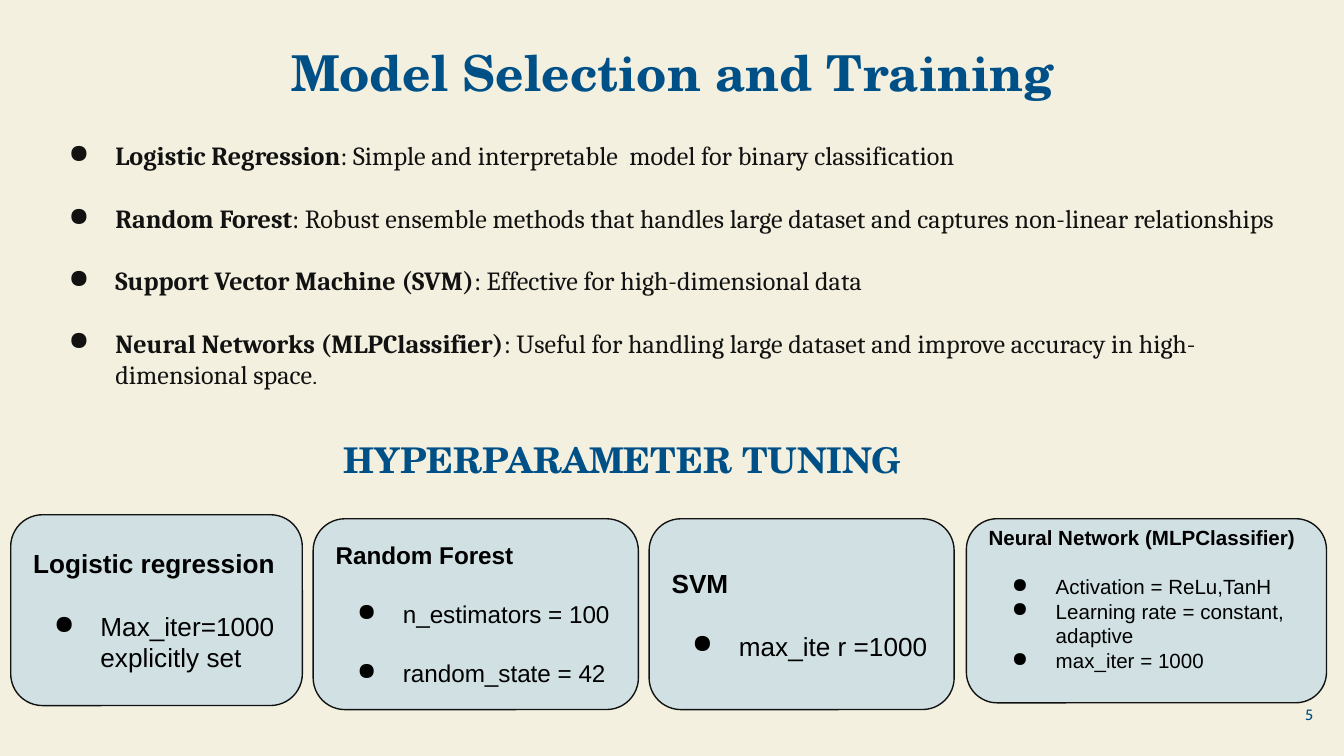
import pptx
import pptx.util
import pptx.dml.color
import pptx.enum.shapes
import pptx.enum.text
import pptx.oxml.ns
from lxml import etree

Pt = pptx.util.Pt
ALIGN = pptx.enum.text.PP_ALIGN
ANCHOR = pptx.enum.text.MSO_ANCHOR
BLUE, INK, BLACK = "005088", "121212", "000000"
CREAM, PALE_BLUE = "F3F0DF", "D0E0E3"
HEADING_FONT = "TeX Gyre Schola"

MODELS = [
    ("Logistic Regression", ": Simple and interpretable  model for binary classification"),
    ("Random Forest", ": Robust ensemble methods that handles large dataset and "
                      "captures non-linear relationships"),
    ("Support Vector Machine (SVM)", ": Effective for high-dimensional data"),
    ("Neural Networks (MLPClassifier)", ": Useful for handling large dataset and improve "
                                        "accuracy in high-dimensional space"),
]

# Box (left, top, width, height), heading, settings, text size,
# gap below heading, gap between settings, bottom inset
CARDS = [
    ((5.76, 275.76, 156.24, 102.24), "Logistic regression",
     ["Max_iter=1000 explicitly set"], 14, 17, 0, 7.2),
    ((167.76, 277.92, 174.24, 102.24), "Random Forest",
     ["n_estimators = 100", "random_state = 42"], 13, 16, 16, 7.2),
    ((347.76, 277.92, 163.44, 102.24), "SVM",
     ["max_ite r =1000"], 14, 17, 0, 7.2),
    ((517.68, 277.92, 192.96, 98.64), "Neural Network (MLPClassifier)",
     ["Activation = ReLu,TanH", "Learning rate = constant, adaptive", "max_iter = 1000"],
     11, 13, 0, 20),
]


def rgb(value):
    return pptx.dml.color.RGBColor.from_string(value)


def add_text(p, text, size=14, font="Arial", color=BLACK, bold=False):
    r = p.add_run()
    r.text = text
    r.font.size = Pt(size)
    r.font.name = font
    r.font.bold = bold
    r.font.color.rgb = rgb(color)


def set_bullet(p, color, indent=25):
    """Give a paragraph a round bullet that hangs left of a 36 pt margin."""
    pPr = p._p.get_or_add_pPr()
    pPr.set("marL", str(Pt(36)))
    pPr.set("indent", str(-Pt(indent)))
    qn = pptx.oxml.ns.qn
    buClr = etree.SubElement(pPr, qn("a:buClr"))
    etree.SubElement(buClr, qn("a:srgbClr"), val=color)
    etree.SubElement(pPr, qn("a:buChar"), char="●")


def format_frame(sp, anchor=ANCHOR.TOP, bottom=7.2):
    tf = sp.text_frame
    tf.word_wrap = True
    tf.auto_size = pptx.enum.text.MSO_AUTO_SIZE.NONE
    tf.vertical_anchor = anchor
    tf.margin_left = tf.margin_top = tf.margin_right = Pt(7.2)
    tf.margin_bottom = Pt(bottom)
    return tf


def add_box(s, box, **frame):
    return format_frame(s.shapes.add_textbox(*map(Pt, box)), **frame)


def set_title(s, text):
    sp = s.shapes.title
    sp.left, sp.top, sp.width, sp.height = map(Pt, (77.04, 15.12, 566.64, 46.8))
    p = format_frame(sp, anchor=ANCHOR.MIDDLE).paragraphs[0]
    p.alignment = ALIGN.CENTER
    add_text(p, text, size=26.5, font=HEADING_FONT, color=BLUE, bold=True)


def add_label(s, box, text, align, anchor=ANCHOR.TOP, **style):
    p = add_box(s, box, anchor=anchor).paragraphs[0]
    p.alignment = align
    add_text(p, text, color=BLUE, **style)


def add_models(s):
    tf = add_box(s, (18.72, 67.68, 673.2, 159.12))
    for i, (name, description) in enumerate(MODELS):
        p = tf.add_paragraph() if i else tf.paragraphs[0]
        p.space_before = Pt(16.6 if i else 0)
        set_bullet(p, INK)
        add_text(p, name, font="Cambria", color=INK, bold=True)
        add_text(p, description, font="Cambria", color=INK)
    add_text(p, ".", size=13, font="Cabin", color=INK)


def add_card(s, box, heading, settings, size, heading_gap, setting_gap, bottom):
    sp = s.shapes.add_shape(pptx.enum.shapes.MSO_SHAPE.ROUNDED_RECTANGLE, *map(Pt, box))
    sp.shadow.inherit = False
    sp.fill.solid()
    sp.fill.fore_color.rgb = rgb(PALE_BLUE)
    sp.line.color.rgb = rgb(INK)
    sp.line.width = Pt(0.75)
    tf = format_frame(sp, anchor=ANCHOR.MIDDLE, bottom=bottom)
    p = tf.paragraphs[0]
    p.alignment = ALIGN.LEFT
    add_text(p, heading, size=size, bold=True)
    for i, setting in enumerate(settings):
        p = tf.add_paragraph()
        p.alignment = ALIGN.LEFT
        p.space_before = Pt(setting_gap if i else heading_gap)
        set_bullet(p, BLACK, indent=18 + size / 2)
        add_text(p, setting, size=size)


def main():
    prs = pptx.Presentation()
    prs.slide_width, prs.slide_height = Pt(720), Pt(405)
    s = prs.slides.add_slide(prs.slide_layouts[5])
    s.background.fill.solid()
    s.background.fill.fore_color.rgb = rgb(CREAM)

    add_label(s, (667.44, 367.2, 43.2, 30.96), "5", ALIGN.RIGHT,
              anchor=ANCHOR.MIDDLE, size=8, font="Cabin")
    set_title(s, "Model Selection and Training")
    add_models(s)
    add_label(s, (139.68, 227.52, 387.36, 33.84), "HYPERPARAMETER TUNING", ALIGN.CENTER,
              size=19, font=HEADING_FONT, bold=True)
    for card in CARDS:
        add_card(s, *card)
    prs.save("out.pptx")


if __name__ == "__main__":
    main()
